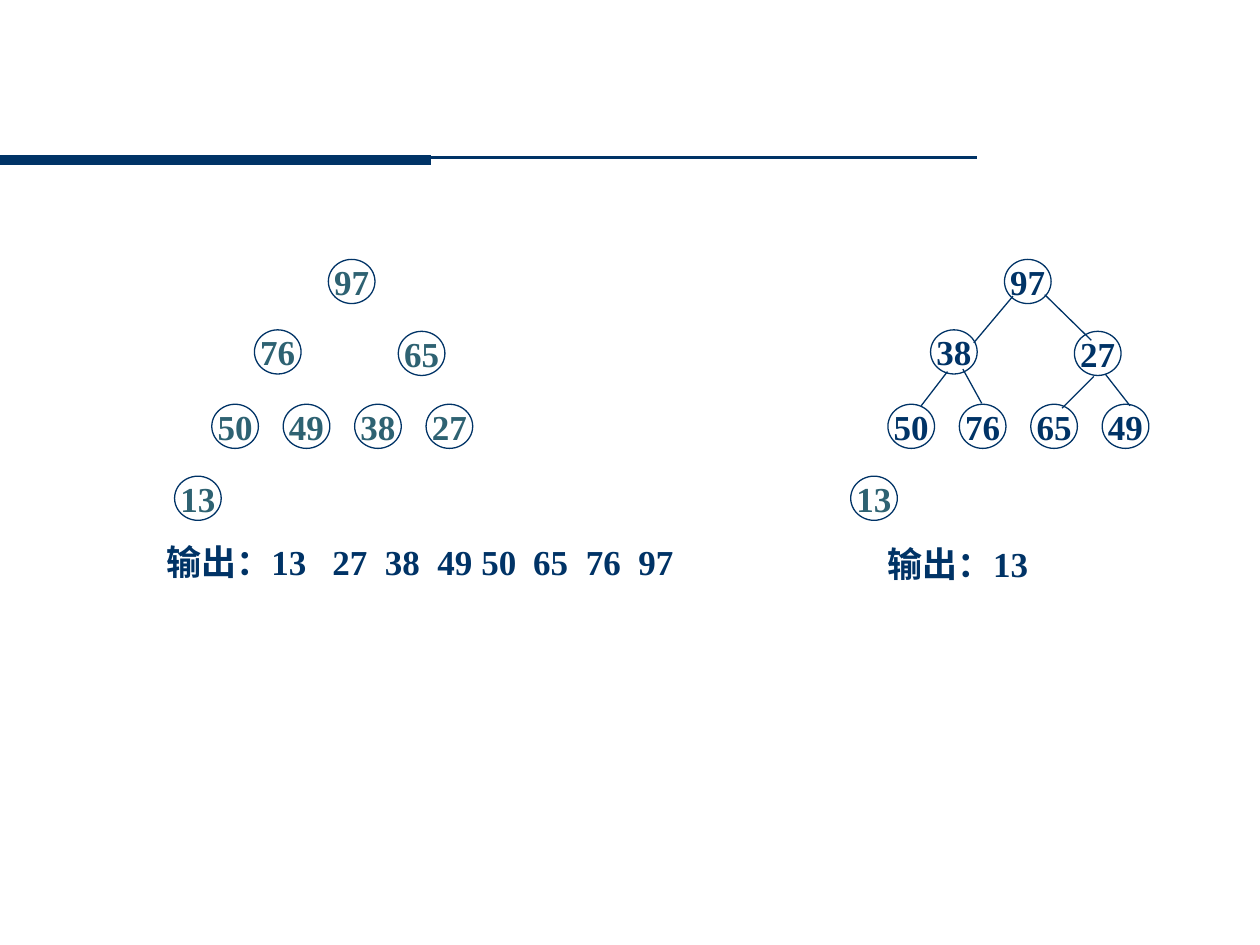
from dataclasses import dataclass

from lxml.etree import SubElement
from pptx import Presentation
from pptx.dml.color import RGBColor
from pptx.enum.shapes import MSO_CONNECTOR, MSO_SHAPE
from pptx.enum.text import MSO_ANCHOR, PP_ALIGN
from pptx.oxml.ns import qn
from pptx.util import Cm, Pt


@dataclass(frozen=True)
class Theme:
    navy: RGBColor = RGBColor(0x00, 0x33, 0x66)
    teal: RGBColor = RGBColor(0x2E, 0x62, 0x72)
    font: str = "Times New Roman"
    size: int = 20
    thin: float = 0.75


THEME = Theme()

# Heap slots in level order, in cm from the left of the tree and the slide top
SLOTS = [(3.1, 5.23), (1.61, 6.65), (4.51, 6.68),
         *[(0.75 + 1.44 * i, 8.15) for i in range(4)], (0, 9.6)]
NODE_W, NODE_H = 0.94, 0.89

# Branches of the rebuilt heap, in cm
BRANCHES = [
    ((20.42, 5.97), (19.63, 6.91)), ((21.06, 5.94), (22.0, 6.86)),
    ((19.1, 7.49), (18.57, 8.18)), ((19.41, 7.44), (19.79, 8.13)),
    ((22.05, 7.59), (21.41, 8.23)), ((22.28, 7.54), (22.78, 8.18)),
]


def set_text(tf, text, color=THEME.navy, align=PP_ALIGN.LEFT,
             anchor=MSO_ANCHOR.TOP, tabs=()):
    tf.word_wrap = False
    tf.vertical_anchor = anchor
    p = tf.paragraphs[0]
    p.alignment = align
    if tabs:
        tab_list = SubElement(p._p.get_or_add_pPr(), qn("a:tabLst"))
        for pos in tabs:
            SubElement(tab_list, qn("a:tab"), pos=str(int(Cm(pos))), algn="l")
    r = p.add_run()
    r.text = text
    r.font.name = THEME.font
    r.font.size = Pt(THEME.size)
    r.font.bold = True
    r.font.color.rgb = color


def add_line(s, start, end, width=THEME.thin):
    ends = [Cm(v) for v in (*start, *end)]
    line = s.shapes.add_connector(MSO_CONNECTOR.STRAIGHT, *ends)
    line.line.color.rgb = THEME.navy
    line.line.width = Pt(width)
    SubElement(line._element.spPr, qn("a:effectLst"))


def add_node(s, x, y, value, color):
    sp = s.shapes.add_shape(MSO_SHAPE.OVAL, Cm(x), Cm(y), Cm(NODE_W), Cm(NODE_H))
    sp.shadow.inherit = False
    sp.fill.background()
    sp.line.color.rgb = THEME.navy
    sp.line.width = Pt(THEME.thin)
    set_text(sp.text_frame, str(value), color=color,
             align=PP_ALIGN.CENTER, anchor=MSO_ANCHOR.MIDDLE)


def add_heap(s, left, values, sorted_count):
    """Draw a heap; its last sorted_count values are already output."""
    active = len(values) - sorted_count
    for i, ((x, y), value) in enumerate(zip(SLOTS, values)):
        color = THEME.navy if i < active else THEME.teal
        add_node(s, left + x, y, value, color)


def add_output(s, x, y, width, text, tabs=()):
    box = s.shapes.add_textbox(Cm(x), Cm(y), Cm(width), Cm(1.12))
    set_text(box.text_frame, text, tabs=tabs)


def main():
    prs = Presentation()
    prs.slide_width, prs.slide_height = Cm(25.4), Cm(19.05)
    s = prs.slides.add_slide(prs.slide_layouts[6])

    # Header rule
    add_line(s, (0, 3.17), (19.69, 3.17), width=1.5)
    add_line(s, (0, 3.23), (8.69, 3.23), width=6)

    # Fully sorted heap
    add_heap(s, 3.52, [97, 76, 65, 50, 49, 38, 27, 13], sorted_count=8)
    tabs = [start + 1.06 * i for start in (3.35, 7.4) for i in range(3)]
    add_output(s, 3.1, 10.77, 10.74,
               "输出：13\t27\t38\t49 50\t65\t76\t97", tabs=tabs)

    # Heap after the first output
    add_heap(s, 17.15, [97, 38, 27, 50, 76, 65, 49, 13], sorted_count=1)
    for start, end in BRANCHES:
        add_line(s, start, end)
    add_output(s, 17.65, 10.82, 3.51, "输出：13")

    prs.save("out.pptx")


if __name__ == "__main__":
    main()
